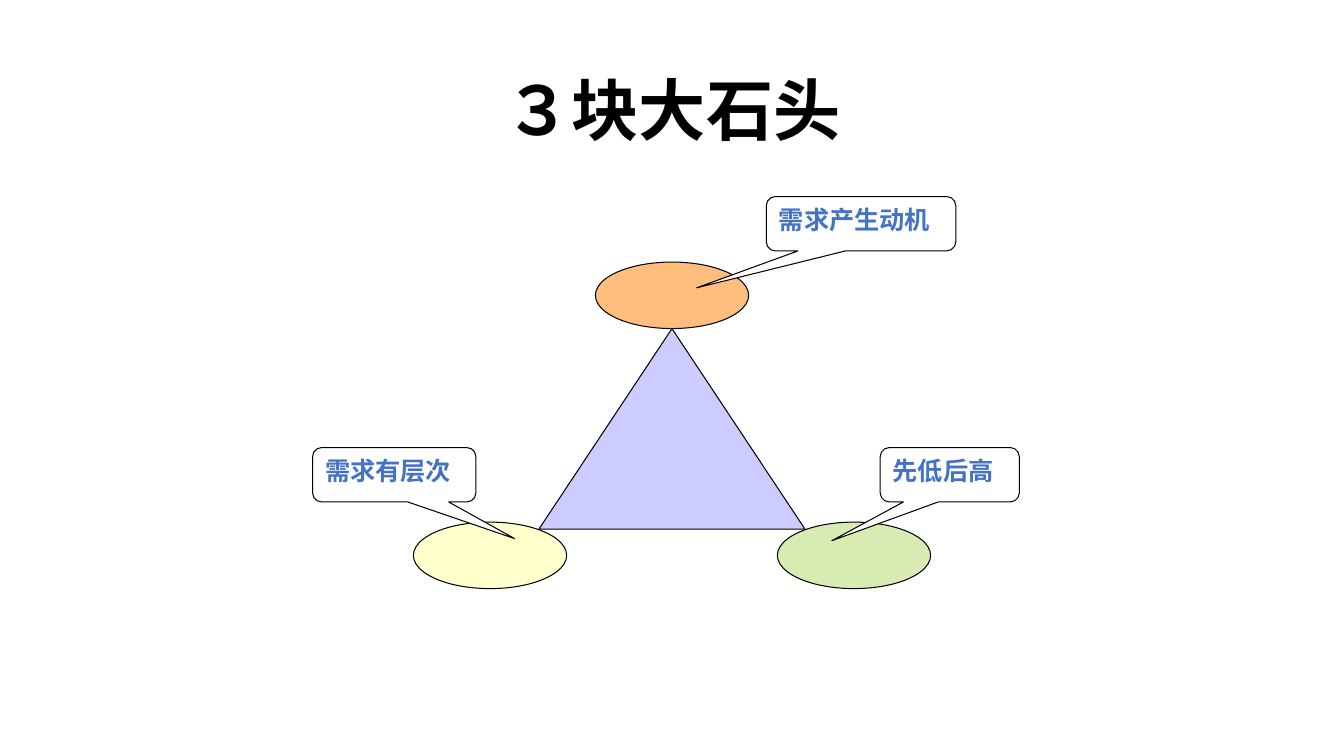
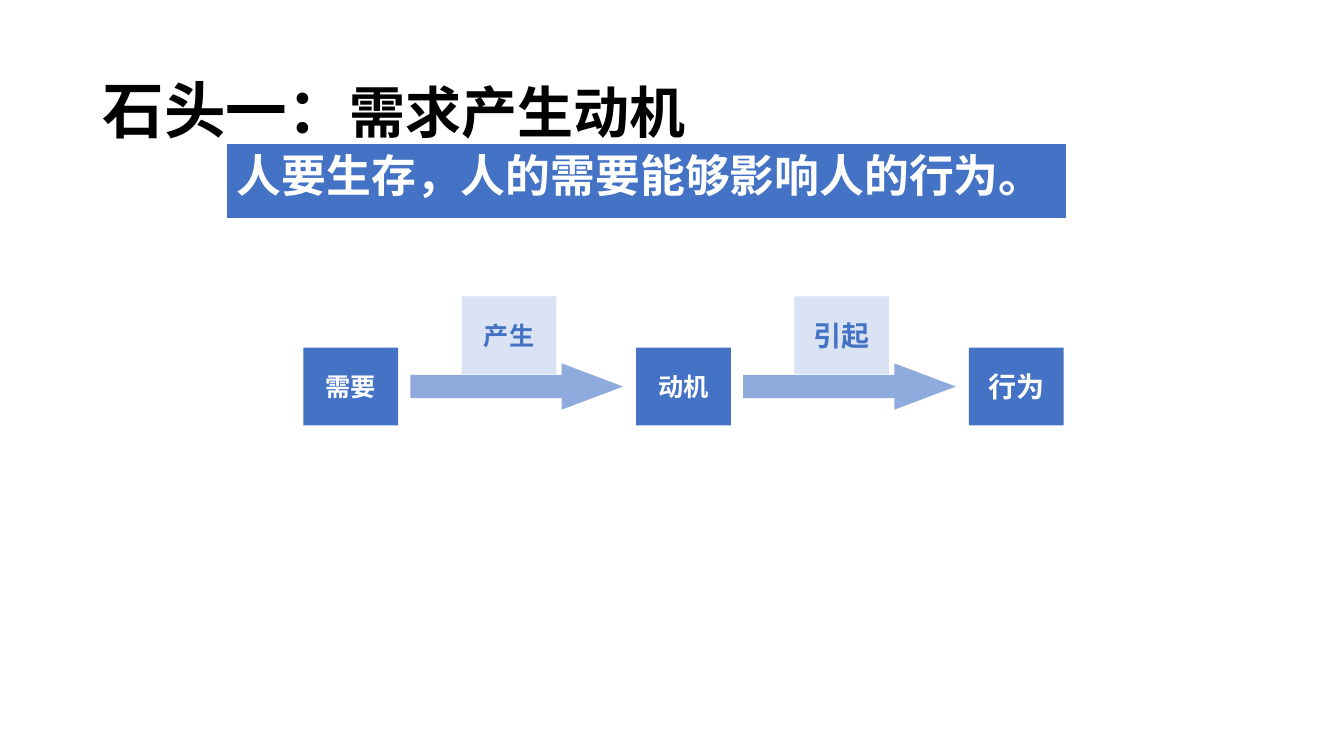
from dataclasses import dataclass
from pptx import Presentation
from pptx.dml.color import RGBColor
from pptx.enum.shapes import MSO_SHAPE
from pptx.enum.text import MSO_ANCHOR, PP_ALIGN
from pptx.oxml.ns import qn
from pptx.util import Inches, Pt


@dataclass(frozen=True)
class Theme:
    cjk_font: str = "Noto Sans CJK SC"
    body_font: str = "Arial"
    black: str = "000000"
    white: str = "FFFFFF"
    blue: str = "4472C4"
    mid_blue: str = "8FAADC"
    pale_blue: str = "DAE3F3"
    lilac: str = "CCCCFF"
    orange: str = "FFBE7D"
    yellow: str = "FFFFCC"
    green: str = "D8EBB3"
    big_title: int = 48
    title: int = 44
    subtitle: int = 40
    statement: int = 32
    large_label: int = 20
    label: int = 18
    outline: float = 0.75


THEME = Theme()


def add_run(paragraph, text, size, color, font=THEME.body_font):
    run = paragraph.add_run()
    run.text = text
    run.font.size = Pt(size)
    run.font.bold = True
    run.font.name = font
    run.font.color.rgb = RGBColor.from_string(color)
    east_asian = run._r.get_or_add_rPr().makeelement(qn("a:ea"), {"typeface": THEME.cjk_font})
    run.font._element.find(qn("a:latin")).addnext(east_asian)


def add_block(slide, kind, box, fill, line=None, adjustments=()):
    block = slide.shapes.add_shape(kind, *map(Inches, box))
    block.shadow.inherit = False
    block.fill.solid()
    block.fill.fore_color.rgb = RGBColor.from_string(fill)
    if line:
        block.line.color.rgb = RGBColor.from_string(line)
        block.line.width = Pt(THEME.outline)
    else:
        block.line.fill.background()
    for index, value in enumerate(adjustments):
        block.adjustments[index] = value
    return block


def write(block, text, size, color, align, anchor):
    frame = block.text_frame
    frame.word_wrap = True
    frame.vertical_anchor = anchor
    paragraph = frame.paragraphs[0]
    paragraph.alignment = align
    add_run(paragraph, text, size, color)
    return paragraph


def add_title(slide, parts, align=PP_ALIGN.LEFT):
    heading = slide.shapes.add_textbox(*map(Inches, (0.92, 0.4, 11.5, 1.45)))
    frame = heading.text_frame
    frame.word_wrap = True
    frame.vertical_anchor = MSO_ANCHOR.MIDDLE
    paragraph = frame.paragraphs[0]
    paragraph.alignment = align
    paragraph.line_spacing = 0.9
    for text, size in parts:
        add_run(paragraph, text, size, THEME.black, THEME.cjk_font)


def add_stone_triangle(slide, box):
    left, top, width, height = box
    stone_w, stone_h = 1.52, 0.66
    step = (width - stone_w) / 2
    base_top = top + height - stone_h
    add_block(slide, MSO_SHAPE.ISOSCELES_TRIANGLE,
              (left + width / 2 - 1.32, top + stone_h, 2.64, 1.99),
              THEME.lilac, THEME.black)
    stones = [(THEME.yellow, base_top), (THEME.orange, top), (THEME.green, base_top)]
    for column, (color, stone_top) in enumerate(stones):
        add_block(slide, MSO_SHAPE.OVAL,
                  (left + column * step, stone_top, stone_w, stone_h), color, THEME.black)


def add_callout(slide, box, text, pointer):
    callout = add_block(slide, MSO_SHAPE.ROUNDED_RECTANGULAR_CALLOUT, box,
                        THEME.white, THEME.black, (*pointer, 0.167))
    write(callout, text, THEME.label, THEME.blue, PP_ALIGN.JUSTIFY, MSO_ANCHOR.TOP)


def add_statement(slide, box, text):
    banner = add_block(slide, MSO_SHAPE.RECTANGLE, box, THEME.blue, THEME.white)
    paragraph = write(banner, text, THEME.statement, THEME.white, PP_ALIGN.LEFT, MSO_ANCHOR.TOP)
    properties = paragraph._p.get_or_add_pPr()
    properties.set("marL", str(Inches(0.54)))
    properties.set("indent", str(-Inches(0.54)))


def add_motive_chain(slide, box, stages, links):
    left, top, width, height = box
    node_w, node_h = 0.94, 0.77
    step = (width - node_w) / (len(stages) - 1)
    node_top = top + height - node_h
    arrow_h = 0.46

    def add_node(x, y, text, size, fill, color):
        node = add_block(slide, MSO_SHAPE.RECTANGLE, (x, y, node_w, node_h), fill)
        write(node, text, size, color, PP_ALIGN.CENTER, MSO_ANCHOR.MIDDLE)

    for index, (text, size) in enumerate(stages):
        add_node(left + index * step, node_top, text, size, THEME.blue, THEME.white)
    for index, (text, size) in enumerate(links):
        start = left + index * step
        add_block(slide, MSO_SHAPE.RIGHT_ARROW,
                  (start + 1.06, node_top + (node_h - arrow_h) / 2, 2.11, arrow_h),
                  THEME.mid_blue, adjustments=(0.5, 1.326))
        add_node(start + 1.57, top, text, size, THEME.pale_blue, THEME.blue)


def build_stones_slide(slide):
    add_title(slide, [("３块大石头", THEME.big_title)], PP_ALIGN.CENTER)
    add_stone_triangle(slide, (4.1, 2.6, 5.13, 3.24))
    callouts = [
        ((7.6, 1.95, 1.88, 0.54), "需求产生动机", (-0.867, 1.177)),
        ((3.1, 4.44, 1.62, 0.54), "需求有层次", (0.737, 1.173)),
        ((8.73, 4.44, 1.38, 0.54), "先低后高", (-0.848, 1.212)),
    ]
    for box, text, pointer in callouts:
        add_callout(slide, box, text, pointer)


def build_motive_slide(slide):
    add_title(slide, [("石头一：", THEME.title), ("需求产生动机", THEME.subtitle)])
    add_statement(slide, (2.25, 1.42, 8.33, 0.75), "人要生存，人的需要能够影响人的行为。")
    add_motive_chain(
        slide, (3.01, 2.94, 7.54, 1.28),
        [("需要", THEME.label), ("动机", THEME.label), ("行为", THEME.large_label)],
        [("产生", THEME.label), ("引起", THEME.large_label)],
    )


def main():
    deck = Presentation()
    deck.slide_width, deck.slide_height = Inches(13.33), Inches(7.5)
    for build in (build_stones_slide, build_motive_slide):
        build(deck.slides.add_slide(deck.slide_layouts[6]))
    deck.save("out.pptx")


if __name__ == "__main__":
    main()
